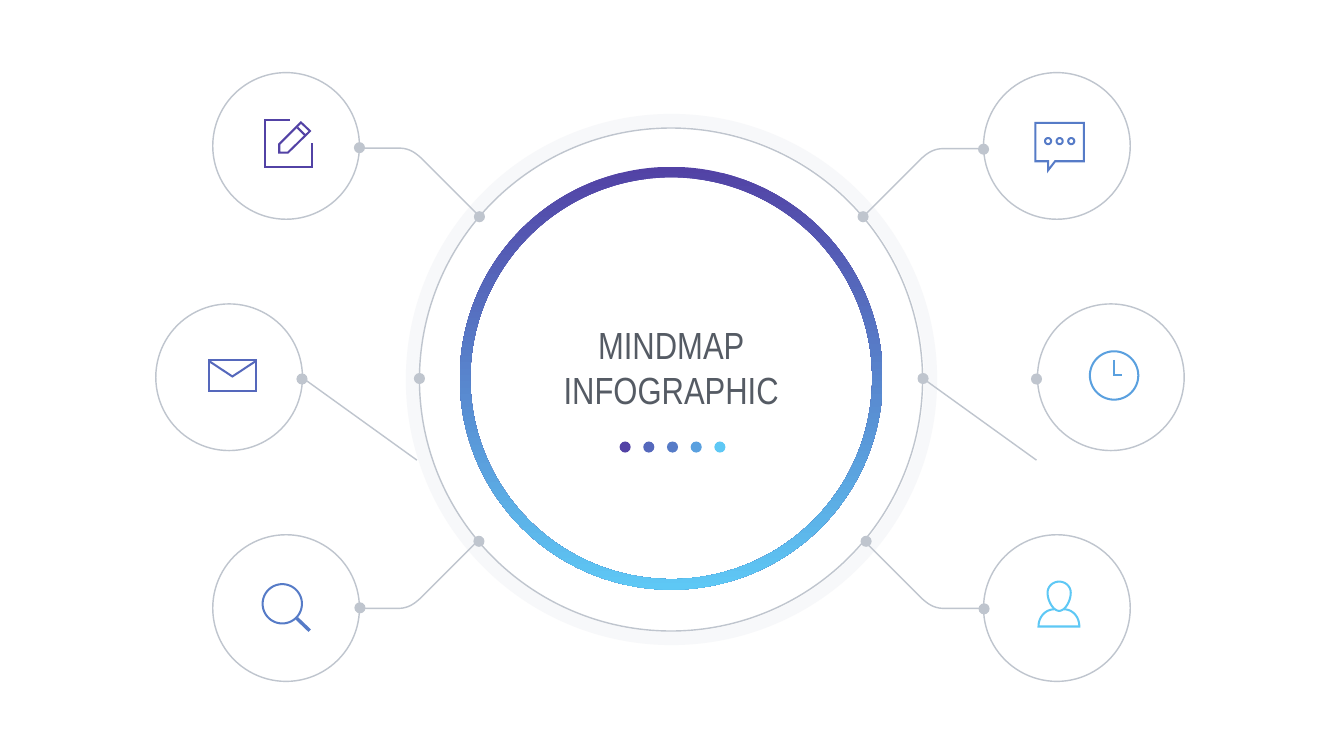
from dataclasses import dataclass
from math import cos, pi, sin
from typing import NamedTuple

from lxml.etree import SubElement
from pptx import Presentation
from pptx.dml.color import RGBColor
from pptx.enum.shapes import MSO_CONNECTOR, MSO_SHAPE
from pptx.enum.text import MSO_ANCHOR, MSO_AUTO_SIZE, PP_ALIGN
from pptx.oxml.ns import qn
from pptx.util import Emu, Pt

PX = 9144  # 100 px to the inch
GREY, PALE, INK = "BFC5CE", "EFF0F4", "555B64"
PURPLE, INDIGO, BLUE, SKY, CYAN = "5242A5", "5568BC", "567BC7", "5AA0DF", "5EC8F5"
NODE, DOT = 291, 22


class Contour(NamedTuple):
    points: list
    closed: bool = False


@dataclass
class Node:
    left: int
    top: int
    dot: tuple      # centre of the dot on the node
    hub_dot: tuple  # centre of the dot on the hub
    color: str
    icon: list


@dataclass
class Elbow:
    x: int
    y: int
    dx: int
    dy: int


def px(n: float) -> Emu:
    return Emu(round(n * PX))


def rgb(color: str) -> RGBColor:
    return RGBColor.from_string(color)


# Contours
def curve(*steps: tuple) -> list:
    """Points of a path: a pair is a line, six numbers a cubic curve."""
    points = [steps[0]]
    for step in steps[1:]:
        if len(step) == 2:
            points.append(step)
            continue
        (x0, y0), (x1, y1, x2, y2, x3, y3) = points[-1], step
        for i in range(1, 17):
            t = i / 16
            a, b, c, d = (1 - t) ** 3, 3 * t * (1 - t) ** 2, 3 * t * t * (1 - t), t ** 3
            points.append((a * x0 + b * x1 + c * x2 + d * x3,
                           a * y0 + b * y1 + c * y2 + d * y3))
    return points


def circle(cx: int, cy: int, r: int) -> Contour:
    angles = [2 * pi * i / 72 for i in range(72)]
    return Contour([(cx + r * cos(a), cy + r * sin(a)) for a in angles], True)


# Drawing
def add_shape(s, kind, left: int, top: int, size: int, fill="", line=""):
    sp = s.shapes.add_shape(kind, px(left), px(top), px(size), px(size))
    sp.shadow.inherit = False
    if fill:
        sp.fill.solid()
        sp.fill.fore_color.rgb = rgb(fill)
    else:
        sp.fill.background()
    if line:
        sp.line.color.rgb = rgb(line)
        sp.line.width = Pt(2)
    else:
        sp.line.fill.background()
    return sp


def add_dot(s, center: tuple, color: str = GREY) -> None:
    x, y = center
    add_shape(s, MSO_SHAPE.OVAL, x - DOT // 2, y - DOT // 2, DOT, fill=color)


def add_ring(s, left: int, top: int, size: int, thickness: int, color: str):
    sp = add_shape(s, MSO_SHAPE.DONUT, left, top, size, fill=color)
    sp.adjustments[0] = thickness / size
    return sp


def add_outline(s, contours: list, color: str, width: float) -> None:
    builder = None
    for points, closed in contours:
        pts = [(px(x), px(y)) for x, y in points]
        if builder is None:
            builder = s.shapes.build_freeform(*pts[0], scale=1.0)
        else:
            builder.move_to(*pts[0])
        builder.add_line_segments(pts[1:], close=closed)
    sp = builder.convert_to_shape()
    sp.shadow.inherit = False
    sp.fill.background()
    sp.line.color.rgb = rgb(color)
    sp.line.width = Pt(width)
    SubElement(sp._element.spPr.find(qn("a:ln")), qn("a:miter"), lim="800000")


def add_elbow(s, e: Elbow) -> None:
    steps = [(0, 0), (108, 108), (118, 117, 130, 128, 150, 129), (232, 129)]
    origin, sign = (e.x, e.y) * 3, (e.dx, e.dy) * 3
    placed = [tuple(o + k * v for o, k, v in zip(origin, sign, st)) for st in steps]
    add_outline(s, [Contour(curve(*placed))], GREY, 2)


def add_line(s, x1: int, y1: int, x2: int, y2: int) -> None:
    cn = s.shapes.add_connector(MSO_CONNECTOR.STRAIGHT, px(x1), px(y1), px(x2), px(y2))
    cn.line.color.rgb = rgb(GREY)
    cn.line.width = Pt(2)
    SubElement(cn._element.spPr, qn("a:effectLst"))


def add_title(s, lines: list) -> None:
    tf = s.shapes.add_textbox(px(945), px(633), px(773), px(191)).text_frame
    tf.word_wrap = True
    tf.auto_size = MSO_AUTO_SIZE.SHAPE_TO_FIT_TEXT
    tf.vertical_anchor = MSO_ANCHOR.MIDDLE
    tf.margin_left = tf.margin_right = tf.margin_top = tf.margin_bottom = px(6)
    for i, text in enumerate(lines):
        p = tf.add_paragraph() if i else tf.paragraphs[0]
        p.text = text
        p.alignment = PP_ALIGN.CENTER
        p.font.name, p.font.size = "Arial Narrow", Pt(54)
        p.font.color.rgb = rgb(INK)


# Icons
EDIT = [Contour([(575, 238), (526, 238), (526, 332), (619, 332), (619, 283)]),
        Contour([(597, 243), (615, 260), (571, 303), (554, 303), (554, 286)], True),
        Contour([(590, 253), (605, 268)])]
MAIL = [Contour([(414, 714), (508, 714), (508, 776), (414, 776)], True),
        Contour([(414, 716), (461, 747), (508, 716)])]
SEARCH = [circle(560, 1198, 39),
          Contour([(589, 1229), (591, 1227), (614, 1249), (612, 1251)], True)]
CHAT = [Contour([(2054, 244), (2150, 244), (2150, 320), (2093, 320),
                 (2079, 338), (2079, 320), (2054, 320)], True),
        *(circle(x, 280, 6) for x in (2079, 2102, 2125))]
CLOCK = [circle(2210, 745, 48), Contour([(2210, 714), (2210, 745), (2226, 745)])]
PERSON = [Contour(curve((2101, 1154), (2088, 1154, 2078, 1164, 2078, 1176),
                        (2078, 1192, 2089, 1212, 2101, 1212),
                        (2113, 1212, 2124, 1192, 2124, 1176),
                        (2124, 1164, 2114, 1154, 2101, 1154)), True),
          Contour(curve((2111, 1209), (2128, 1209, 2141, 1224, 2141, 1243),
                        (2060, 1243), (2060, 1224, 2074, 1209, 2091, 1209)))]

NODES = [
    Node(422, 144, (713, 293), (951, 430), PURPLE, EDIT),
    Node(309, 603, (599, 752), (832, 751), INDIGO, MAIL),
    Node(422, 1061, (714, 1206), (950, 1074), BLUE, SEARCH),
    Node(1951, 144, (1951, 296), (1712, 430), BLUE, CHAT),
    Node(2058, 603, (2056, 752), (1831, 751), SKY, CLOCK),
    Node(1951, 1061, (1952, 1208), (1718, 1074), CYAN, PERSON),
]
ELBOWS = [Elbow(1718, 424, 1, -1), Elbow(945, 423, -1, -1),
          Elbow(943, 1078, -1, 1), Elbow(1719, 1078, 1, 1)]


def main() -> None:
    prs = Presentation()
    prs.slide_width, prs.slide_height = px(2666), px(1500)
    s = prs.slides.add_slide(prs.slide_layouts[6])

    # Hub
    halo = add_ring(s, 805, 226, 1054, 26, PALE)
    SubElement(halo._element.spPr.find(".//" + qn("a:srgbClr")), qn("a:alpha"), val="45000")
    ring = add_ring(s, 912, 331, 839, 21, PURPLE)
    ring.fill.gradient()
    ring.fill.gradient_angle = 270
    for stop, color in zip(ring.fill.gradient_stops, (PURPLE, CYAN)):
        stop.color.rgb = rgb(color)
    add_title(s, ["MINDMAP", "INFOGRAPHIC"])
    add_shape(s, MSO_SHAPE.OVAL, 832, 254, 998, line=GREY)
    for i, color in enumerate((PURPLE, INDIGO, BLUE, SKY, CYAN)):
        add_dot(s, (1240 + 47 * i, 887), color)

    # Links
    for elbow in ELBOWS:
        add_elbow(s, elbow)
    for x in (602, 1831):
        add_line(s, x, 751, x + 225, 913)

    # Nodes
    for n in NODES:
        add_shape(s, MSO_SHAPE.OVAL, n.left, n.top, NODE, line=GREY)
        add_outline(s, n.icon, n.color, 2.9)
        add_dot(s, n.dot)
        add_dot(s, n.hub_dot)

    prs.save("out.pptx")


if __name__ == "__main__":
    main()
